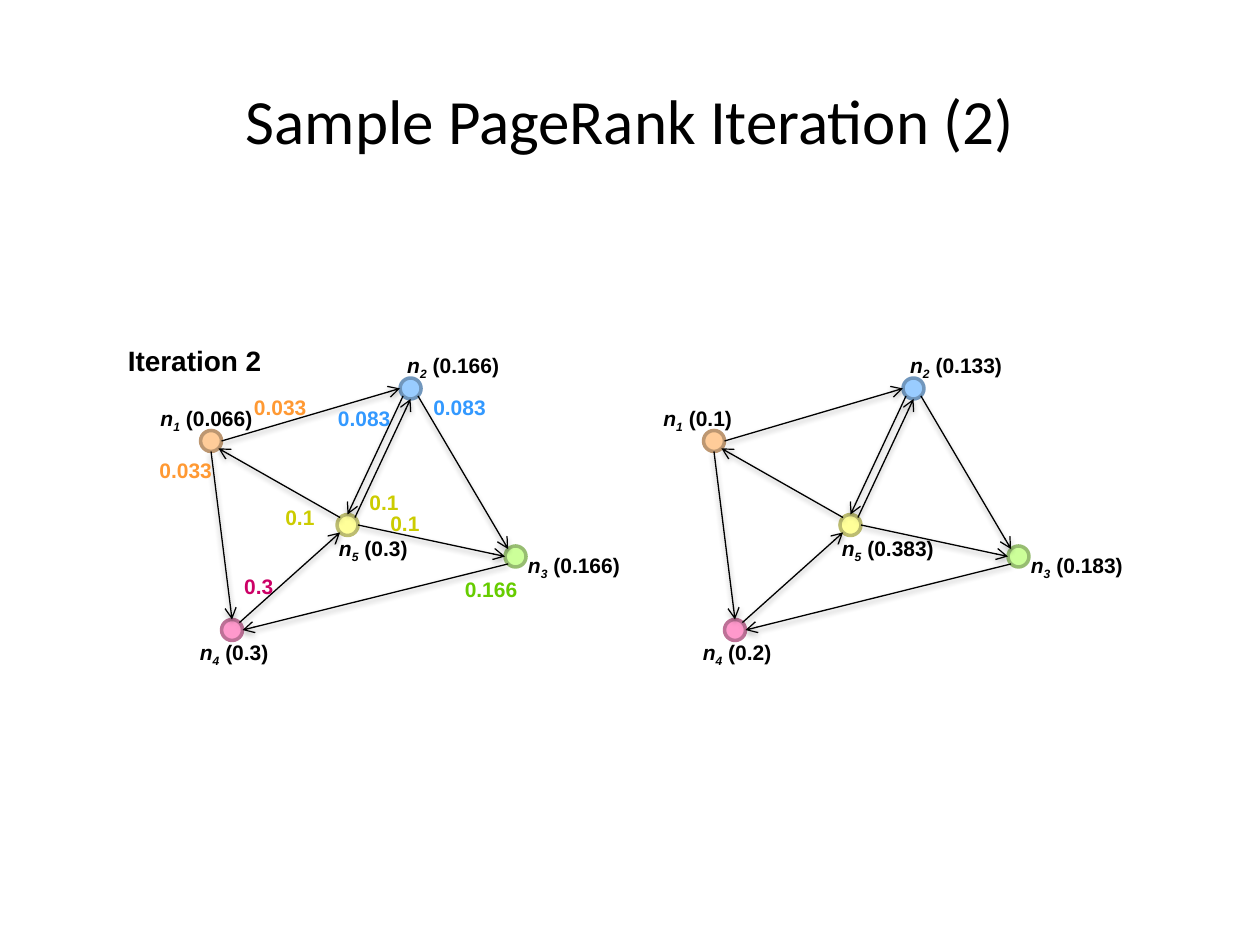
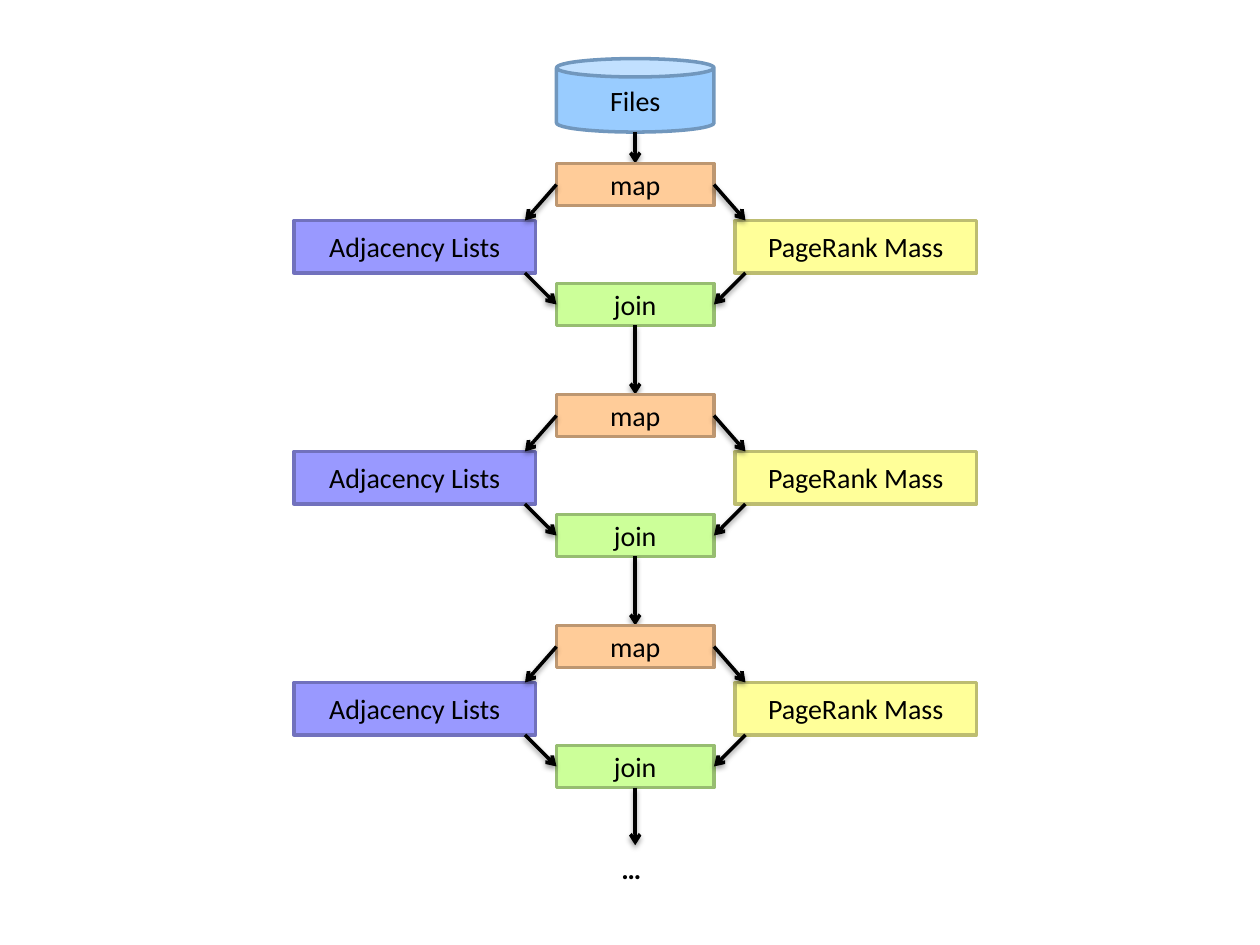
from dataclasses import dataclass
from math import cos, radians, sin
from typing import NamedTuple

from lxml import etree
from pptx import Presentation
from pptx import util as u
from pptx.dml.color import RGBColor
from pptx.enum import shapes, text
from pptx.oxml import ns

Pt = u.Pt


@dataclass(frozen=True)
class Theme:
    ink: str = "000000"
    orange: str = "FFCC99"
    blue: str = "99CCFF"
    pink: str = "FF99CC"
    green: str = "CCFF99"
    yellow: str = "FFFF99"
    violet: str = "9999FF"
    deep_orange: str = "FF9933"
    deep_blue: str = "3399FF"
    deep_pink: str = "CC0066"
    deep_green: str = "66CC00"
    deep_yellow: str = "CCCC00"
    graph_font: str = "Arial"
    body_font: str = "Calibri"
    title_size: int = 36
    body_size: int = 16
    label_size: int = 12
    outline: float = 2
    edge: float = 0.75
    border_shade: float = 0.74


THEME = Theme()


class Point(NamedTuple):
    x: float
    y: float


class Area(NamedTuple):
    left: float
    top: float
    width: float
    height: float


class Span(NamedTuple):
    words: str
    italic: bool = False
    subscript: bool = False


@dataclass(frozen=True)
class Style:
    size: float
    font: str = THEME.body_font
    color: str = THEME.ink
    bold: bool = False


class Node(NamedTuple):
    center: Point
    fill: str
    label_shift: Point


class Edge(NamedTuple):
    start: str
    start_angle: float
    end: str
    end_angle: float


class Share(NamedTuple):
    value: str
    left: float
    top: float
    color: str


# Shared drawing helpers

def write(box, spans: list[Span], style: Style, align=None) -> None:
    para = box.text_frame.paragraphs[0]
    para.alignment = align
    for span in spans:
        run = para.add_run()
        run.text = span.words
        formats = {"size": Pt(style.size), "name": style.font,
                   "bold": style.bold, "italic": span.italic}
        for name, value in formats.items():
            setattr(run.font, name, value)
        run.font.color.rgb = RGBColor.from_string(style.color)
        if span.subscript:
            run.font._element.set("baseline", "-25000")


def add_text(page, area: Area, spans: list[Span], style: Style,
             align=None, wrap: bool = False) -> None:
    box = page.shapes.add_textbox(*map(Pt, area))
    fit = text.MSO_AUTO_SIZE.NONE if wrap else text.MSO_AUTO_SIZE.SHAPE_TO_FIT_TEXT
    formats = {"word_wrap": wrap, "vertical_anchor": text.MSO_ANCHOR.TOP, "auto_size": fit}
    for name, value in formats.items():
        setattr(box.text_frame, name, value)
    write(box, spans, style, align)


def add_block(page, kind, area: Area, fill: str, words: str = "") -> None:
    box = page.shapes.add_shape(kind, *map(Pt, area))
    box.shadow.inherit = False
    box.fill.solid()
    box.fill.fore_color.rgb = color = RGBColor.from_string(fill)
    box.line.width = Pt(THEME.outline)
    box.line.color.rgb = RGBColor(*(round(part * THEME.border_shade) for part in color))
    if words:
        box.text_frame.vertical_anchor = text.MSO_ANCHOR.MIDDLE
        write(box, [Span(words)], Style(THEME.body_size), text.PP_ALIGN.CENTER)


def add_arrow(page, start: Point, end: Point, weight: float) -> None:
    line = page.shapes.add_connector(shapes.MSO_CONNECTOR.STRAIGHT, *map(Pt, start + end))
    line.line.width = Pt(weight)
    line.line.color.rgb = RGBColor.from_string(THEME.ink)
    etree.SubElement(line.line._get_or_add_ln(), ns.qn("a:tailEnd"), type="arrow")
    # Soft shadow straight below the line
    effects = etree.SubElement(line._element.spPr, ns.qn("a:effectLst"))
    shadow = etree.SubElement(effects, ns.qn("a:outerShdw"), blurRad=str(Pt(3.1)),
                              dist=str(Pt(1.6)), dir="5400000", rotWithShape="0")
    tone = etree.SubElement(shadow, ns.qn("a:srgbClr"), val=THEME.ink)
    etree.SubElement(tone, ns.qn("a:alpha"), val="38000")


# Slide 1: the link graph before and after the iteration

RADIUS = 6
LABEL_HEIGHT = 21.6
DIGIT_WIDTH = 6.7
GRAPH_STYLE = Style(THEME.label_size, THEME.graph_font, bold=True)

# Node centers count from the left edge of the graph's first node center
NODES = {
    "1": Node(Point(0, 252), THEME.orange, Point(-36, -24)),
    "2": Node(Point(114, 222), THEME.blue, Point(-9, -24)),
    "3": Node(Point(174, 318), THEME.green, Point(0, -6)),
    "4": Node(Point(12, 360), THEME.pink, Point(-25.5, 2)),
    "5": Node(Point(78, 300), THEME.yellow, Point(-12, 2.4)),
}

# Angles run clockwise from east
EAST, SE, SOUTH, SW, WEST, NW, NORTH, NE = range(0, 360, 45)
EDGES = [
    Edge("1", EAST, "2", WEST),
    Edge("5", NW, "1", SE),
    Edge("1", SOUTH, "4", NORTH),
    Edge("4", NE, "5", SW),
    Edge("5", NE, "2", SOUTH),
    Edge("2", SE, "3", NW),
    Edge("5", EAST, "3", WEST),
    Edge("3", SW, "4", EAST),
    Edge("2", SW, "5", NORTH),
]

GRAPHS = {
    120.6: {"1": "0.066", "2": "0.166", "3": "0.166", "4": "0.3", "5": "0.3"},
    408: {"1": "0.1", "2": "0.133", "3": "0.183", "4": "0.2", "5": "0.383"},
}

SHARES = [
    Share("0.033", 138, 222, THEME.deep_orange),
    Share("0.033", 84, 258, THEME.deep_orange),
    Share("0.3", 132.5, 324, THEME.deep_pink),
    Share("0.166", 258.5, 326, THEME.deep_green),
    Share("0.083", 186, 228, THEME.deep_blue),
    Share("0.083", 240.5, 222, THEME.deep_blue),
    Share("0.1", 156, 284.5, THEME.deep_yellow),
    Share("0.1", 216, 288, THEME.deep_yellow),
    Share("0.1", 204, 276, THEME.deep_yellow),
]


def rim(node: Node, angle: float, origin: float) -> Point:
    turn = radians(angle)
    return Point(origin + node.center.x + RADIUS * cos(turn),
                 node.center.y + RADIUS * sin(turn))


def draw_graph(page, origin: float, ranks: dict[str, str]) -> None:
    for node in NODES.values():
        add_block(page, shapes.MSO_SHAPE.OVAL,
                  Area(origin + node.center.x - RADIUS, node.center.y - RADIUS,
                       2 * RADIUS, 2 * RADIUS), node.fill)
    for edge in EDGES:
        add_arrow(page, rim(NODES[edge.start], edge.start_angle, origin),
                  rim(NODES[edge.end], edge.end_angle, origin), THEME.edge)
    for number, rank in ranks.items():
        center, _, shift = NODES[number]
        area = Area(origin + center.x + shift.x, center.y + shift.y,
                    34.7 + DIGIT_WIDTH * len(rank), LABEL_HEIGHT)
        add_text(page, area, [Span("n", True), Span(number, True, True),
                              Span(f" ({rank})")], GRAPH_STYLE)


def build_iteration(page) -> None:
    for origin, ranks in GRAPHS.items():
        draw_graph(page, origin, ranks)
    for share in SHARES:
        add_text(page, Area(share.left, share.top, 11.2 + DIGIT_WIDTH * len(share.value),
                            LABEL_HEIGHT), [Span(share.value)],
                 Style(THEME.label_size, THEME.graph_font, share.color, True))
    add_text(page, Area(66, 193, 92, 26.6), [Span("Iteration 2")],
             Style(THEME.body_size, THEME.graph_font, bold=True))
    add_text(page, Area(0, 43, 720, 54), [Span("Sample PageRank Iteration (2)")],
             Style(THEME.title_size), text.PP_ALIGN.CENTER, wrap=True)


# Slide 2: three chained map and join rounds

AXIS = 363
STEP_WIDTH, STEP_HEIGHT = 90, 24
DATA_WIDTH, DATA_HEIGHT = 138, 30
DATA_GAP, ARROW_REACH = 57, 63
FIRST_MAP, ROUND_PITCH, ROUNDS = 93.5, 132, 3
DATA_DROP, JOIN_DROP = 32.5, 68.5
STORE_TOP, STORE_HEIGHT, DOTS_TOP = 33.5, 42, 483
RECTANGLE = shapes.MSO_SHAPE.RECTANGLE


def draw_round(page, top: float) -> None:
    data_top, join_top = top + DATA_DROP, top + JOIN_DROP
    for words, step_top, fill in (("map", top, THEME.orange), ("join", join_top, THEME.green)):
        add_block(page, RECTANGLE, Area(AXIS - STEP_WIDTH / 2, step_top,
                                        STEP_WIDTH, STEP_HEIGHT), fill, words)
    sides = ((-1, AXIS - DATA_GAP - DATA_WIDTH, "Adjacency Lists", THEME.violet),
             (1, AXIS + DATA_GAP, "PageRank Mass", THEME.yellow))
    for side, left, words, fill in sides:
        add_block(page, RECTANGLE, Area(left, data_top, DATA_WIDTH, DATA_HEIGHT), fill, words)
        inner, outer = AXIS + side * STEP_WIDTH / 2, AXIS + side * ARROW_REACH
        add_arrow(page, Point(inner, top + STEP_HEIGHT / 2),
                  Point(outer, data_top), THEME.outline)
        add_arrow(page, Point(outer, data_top + DATA_HEIGHT),
                  Point(inner, join_top + STEP_HEIGHT / 2), THEME.outline)


def build_rounds(page) -> None:
    add_block(page, shapes.MSO_SHAPE.CAN,
              Area(AXIS - STEP_WIDTH / 2, STORE_TOP, STEP_WIDTH, STORE_HEIGHT),
              THEME.blue, "Files")
    previous_end = STORE_TOP + STORE_HEIGHT
    tops = [FIRST_MAP + ROUND_PITCH * index for index in range(ROUNDS)]
    for top in tops:
        add_arrow(page, Point(AXIS, previous_end), Point(AXIS, top), THEME.outline)
        draw_round(page, top)
        previous_end = top + JOIN_DROP + STEP_HEIGHT
    add_arrow(page, Point(AXIS, previous_end), Point(AXIS, DOTS_TOP), THEME.outline)
    add_text(page, Area(348, DOTS_TOP, 31, 26.6), [Span("…")],
             Style(THEME.body_size, bold=True))


def main() -> None:
    deck = Presentation()
    deck.slide_width, deck.slide_height = Pt(720), Pt(540)
    for build in (build_iteration, build_rounds):
        build(deck.slides.add_slide(deck.slide_layouts[6]))
    deck.save("out.pptx")


if __name__ == "__main__":
    main()
